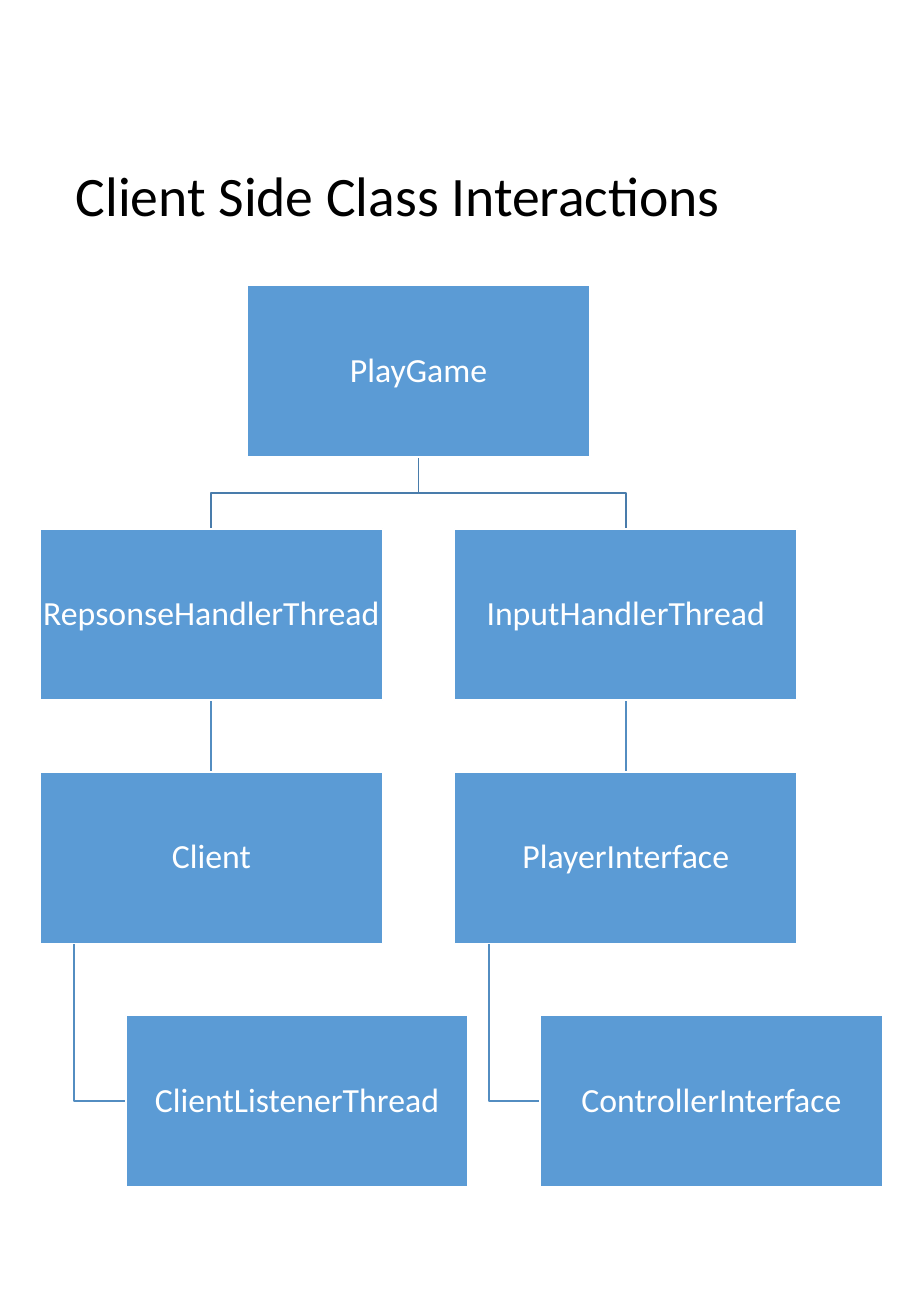
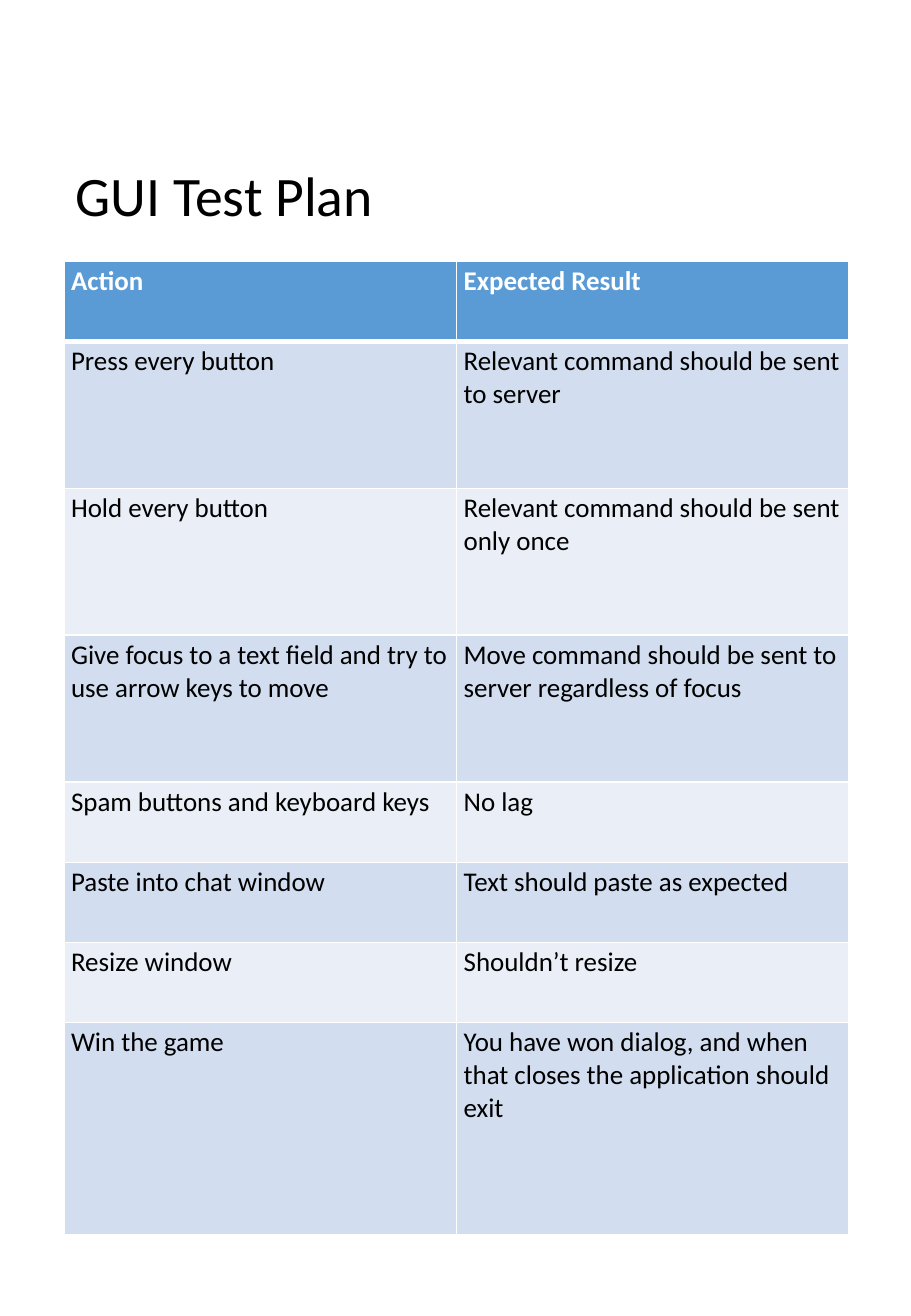
import collections
import itertools
import pptx
import pptx.dml.color
import pptx.enum.shapes
import pptx.enum.text
import pptx.oxml
import pptx.oxml.ns
import pptx.util

PAGE_WIDTH, PAGE_HEIGHT = pptx.util.Inches(7.5), pptx.util.Inches(10.83)
FONT = "Calibri"
BLUE, PALE, PALER = "5B9BD5", "D2DEEF", "EAEFF7"
BRANCH_BLUE, LINK_BLUE = "497CAB", "538DC1"
WHITE, BLACK = "FFFFFF", "000000"
PLAIN_INSETS = (0.1, 0.05)
TIGHT_INSETS = (0.01, 0.01)
CELL_INSETS = (0.06, 0.03)
NAMESPACE = pptx.oxml.ns.nsdecls("a")

Box = collections.namedtuple("Box", "left top width height")
TITLE_BOX = Box(0.07, 0.054, 0.862, 0.193)
CHART_BOX = Box(0.044, 0.217, 0.925, 0.685)
TABLE_BOX = Box(0.07, 0.1985, 0.862, 0.74)

ROOT = "PlayGame"
BRANCHES = [
    ["RepsonseHandlerThread", "Client", "ClientListenerThread"],
    ["InputHandlerThread", "PlayerInterface", "ControllerInterface"],
]
TEST_ROWS = [
    (0.66, "Action", "Expected Result"),
    (1.21, "Press every button", "Relevant command should be sent to server"),
    (1.21, "Hold every button", "Relevant command should be sent only once"),
    (1.21, "Give focus to a text field and try to use arrow keys to move",
     "Move command should be sent to server regardless of focus"),
    (0.66, "Spam buttons and keyboard keys", "No lag"),
    (0.66, "Paste into chat window", "Text should paste as expected"),
    (0.66, "Resize window", "Shouldn’t resize"),
    (1.75, "Win the game",
     "You have won dialog, and when that closes the application should exit"),
]


def color(value):
    """Turn a hex string into a colour."""
    return pptx.dml.color.RGBColor.from_string(value)


def scale(box):
    """Turn shares of the page into lengths."""
    return Box(int(box.left * PAGE_WIDTH), int(box.top * PAGE_HEIGHT),
               int(box.width * PAGE_WIDTH), int(box.height * PAGE_HEIGHT))


def apply(target, values):
    """Set each named attribute of the target."""
    for name, value in values.items():
        setattr(target, name, value)


def margins(insets):
    """Give the margin values for a horizontal and a vertical inset."""
    across, down = map(pptx.util.Inches, insets)
    return {"margin_left": across, "margin_right": across,
            "margin_top": down, "margin_bottom": down}


def write(frame, text, size, ink, bold=False, **layout):
    """Write one paragraph of formatted text."""
    para = frame.paragraphs[0]
    apply(para, layout)
    span = para.add_run()
    span.text = text
    apply(span.font, {"name": FONT, "size": pptx.util.Pt(size), "bold": bold})
    span.font.color.rgb = color(ink)


def add_title(page, box, text):
    """Place the slide title, centred vertically in its box."""
    frame = page.shapes.add_textbox(*scale(box)).text_frame
    apply(frame, {"word_wrap": True, **margins(PLAIN_INSETS),
                  "vertical_anchor": pptx.enum.text.MSO_ANCHOR.MIDDLE})
    write(frame, text, 33, BLACK, line_spacing=0.9)


def add_path(page, points, ink):
    """Draw an open line through the points."""
    if len(points) == 2:
        straight = pptx.enum.shapes.MSO_CONNECTOR.STRAIGHT
        line = page.shapes.add_connector(straight, *points[0], *points[1])
    else:
        builder = page.shapes.build_freeform(*points[0])
        builder.add_line_segments(points[1:], close=False)
        line = builder.convert_to_shape()
        line.fill.background()
    line.line.color.rgb = color(ink)
    line.line.width = pptx.util.Pt(1)
    line.element.spPr.append(pptx.oxml.parse_xml(f"<a:effectLst {NAMESPACE}/>"))


def add_node(page, box, text):
    """Place one class of the hierarchy."""
    node = page.shapes.add_shape(pptx.enum.shapes.MSO_SHAPE.RECTANGLE, *box)
    node.shadow.inherit = False
    node.fill.solid()
    node.fill.fore_color.rgb = color(BLUE)
    node.line.color.rgb = color(WHITE)
    node.line.width = pptx.util.Pt(1)
    apply(node.text_frame, {"word_wrap": True, **margins(TIGHT_INSETS),
                            "vertical_anchor": pptx.enum.text.MSO_ANCHOR.MIDDLE})
    write(node.text_frame, text, 20, WHITE, line_spacing=0.9,
          alignment=pptx.enum.text.PP_ALIGN.CENTER)


def add_hierarchy(page, box, root, branches):
    """Draw a root above columns whose last class hangs to the right."""
    area = scale(box)
    gap_share, indent_share, hook_share = 0.21, 0.25, 0.1
    steps = (len(branches) - 1) * (1 + gap_share)
    width = int(area.width / (1 + steps + indent_share))
    height, gap = width // 2, int(width * gap_share)
    middle = area.left + int(width * (1 + steps) / 2)
    tops = [area.top + row * (height + gap) for row in range(4)]
    nodes = [(Box(middle - width // 2, area.top, width, height), root)]
    for column, names in enumerate(branches):
        left = area.left + column * (width + gap)
        center, hook = left + width // 2, left + int(width * hook_share)
        hanging_left = left + int(width * indent_share)
        fork, root_bottom = tops[1] - gap // 2, tops[0] + height
        add_path(page, [(middle, root_bottom), (middle, fork),
                        (center, fork), (center, tops[1])], BRANCH_BLUE)
        add_path(page, [(center, tops[1] + height), (center, tops[2])], LINK_BLUE)
        level = tops[3] + height // 2
        add_path(page, [(hook, tops[2] + height), (hook, level),
                        (hanging_left, level)], LINK_BLUE)
        for x, y, name in zip((left, left, hanging_left), tops[1:], names):
            nodes.append((Box(x, y, width, height), name))
    for node_box, name in nodes:
        add_node(page, node_box, name)


def add_borders(cell, widths):
    """Give a cell white borders of the widths listed by side."""
    properties = cell._tc.get_or_add_tcPr()
    for side, points in widths.items():
        properties.append(pptx.oxml.parse_xml(
            f'<a:ln{side} {NAMESPACE} w="{int(pptx.util.Pt(points))}">'
            f'<a:solidFill><a:srgbClr val="{WHITE}"/></a:solidFill></a:ln{side}>'))


def add_test_table(page, box, rows):
    """Build the table with a header and banded rows."""
    area = scale(box)
    table = page.shapes.add_table(len(rows), 2, *area).table
    table.horz_banding = False
    total = sum(row[0] for row in rows)
    for column in table.columns:
        column.width = area.width // 2
    for index, (weight, *texts) in enumerate(rows):
        table.rows[index].height = int(area.height * weight / total)
        header = index == 0
        fill = BLUE if header else (PALER, PALE)[index % 2]
        widths = {"L": 1, "R": 1, "T": 3 if index == 1 else 1, "B": 3 if header else 1}
        for cell, text in zip(table.rows[index].cells, texts):
            add_borders(cell, widths)
            cell.fill.solid()
            cell.fill.fore_color.rgb = color(fill)
            apply(cell, margins(CELL_INSETS))
            write(cell.text_frame, text, 16, WHITE if header else BLACK, header)


def main():
    """Build and save the deck."""
    deck = pptx.Presentation()
    apply(deck, {"slide_width": PAGE_WIDTH, "slide_height": PAGE_HEIGHT})
    blank = deck.slide_layouts[6]
    classes, plan = itertools.starmap(deck.slides.add_slide, [(blank,)] * 2)
    add_hierarchy(classes, CHART_BOX, ROOT, BRANCHES)
    add_title(classes, TITLE_BOX, "Client Side Class Interactions")
    add_title(plan, TITLE_BOX, "GUI Test Plan")
    add_test_table(plan, TABLE_BOX, TEST_ROWS)
    deck.save("out.pptx")


main()
